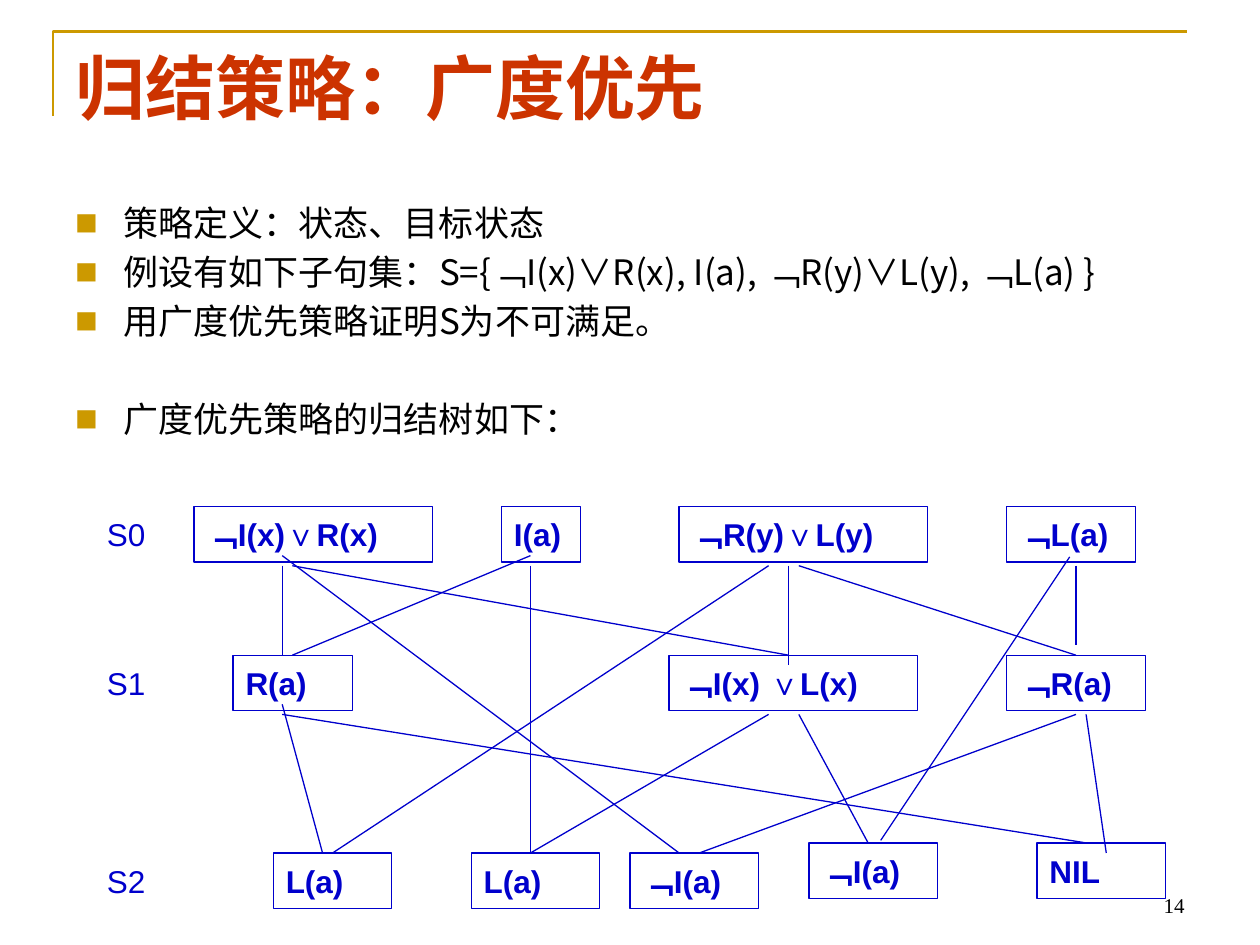
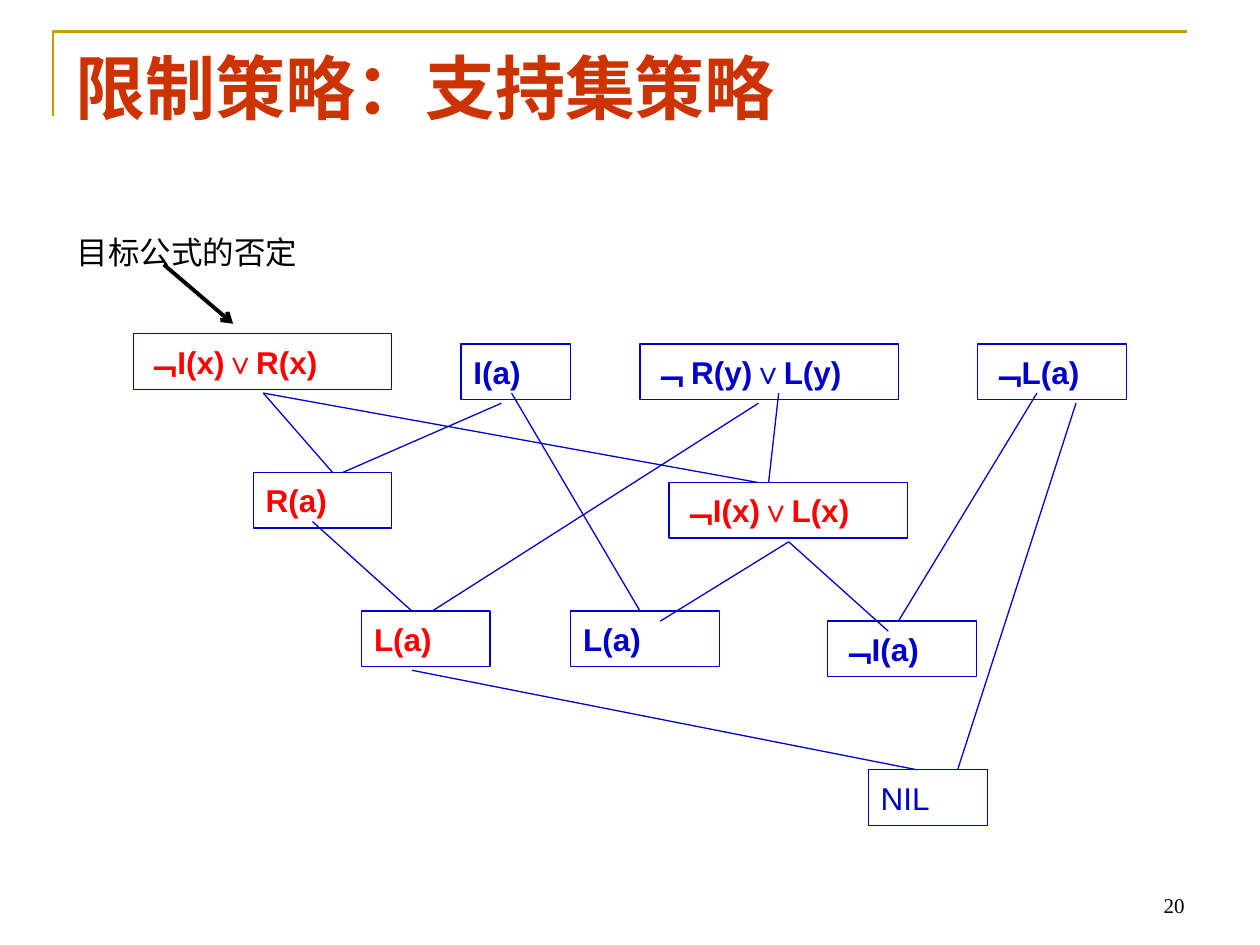
"""Build two slides on resolution strategies: breadth-first and set of support."""
from lxml import etree
from pptx import Presentation
from pptx.dml.color import RGBColor
from pptx.enum.shapes import MSO_CONNECTOR, MSO_SHAPE
from pptx.enum.text import MSO_ANCHOR, MSO_AUTO_SIZE, PP_ALIGN
from pptx.oxml.ns import qn
from pptx.util import Inches, Pt

STRAIGHT = MSO_CONNECTOR.STRAIGHT
RECTANGLE = MSO_SHAPE.RECTANGLE
LEFT, RIGHT = PP_ALIGN.LEFT, PP_ALIGN.RIGHT
TOP, MIDDLE, BOTTOM = MSO_ANCHOR.TOP, MSO_ANCHOR.MIDDLE, MSO_ANCHOR.BOTTOM
NO_FIT = MSO_AUTO_SIZE.NONE

COLORS = {"gold": "CC9900", "title": "CC3300", "blue": "0000CC", "red": "FF0000", "black": "000000"}
CJK, SANS, SERIF = "Noto Sans CJK SC", "Arial", "Times New Roman"

FORMATS = {
    "title": {"name": CJK, "size": Pt(40), "bold": True, "color": "title"},
    "body": {"name": CJK, "size": Pt(20), "bold": False, "color": "black"},
    "clause": {"name": SANS, "size": Pt(18), "bold": True, "color": "blue"},
    "support": {"name": SANS, "size": Pt(18), "bold": True, "color": "red"},
    "level": {"name": SANS, "size": Pt(18), "bold": False, "color": "blue"},
    "note": {"name": SANS, "size": Pt(18), "bold": False, "color": "black"},
    "number": {"name": SERIF, "size": Pt(12), "bold": False, "color": "black"},
}

TITLE_AREA = (0.5, 0.3, 9, 1.25)
BODY_AREA = (0.5, 1.55, 9, 5.15)
NUMBER_AREA = (7.17, 6.83, 2.33, 0.5)
FRAME = [(0.42, 0.92), (0.42, 0.25), (9.42, 0.25)]
BOX_HEIGHT = 0.44
LEVEL_LEFT, LEVEL_WIDTH = 0.75, 0.71

BREADTH_FIRST = {
    "title": "归结策略：广度优先",
    "number": "14",
    "points": [
        ("策略定义：状态、目标状态", 4),
        ("例设有如下子句集：S={﹁I(x)∨R(x), I(a), ﹁R(y)∨L(y), ﹁L(a) }", 4),
        ("用广度优先策略证明S为不可满足。", 4),
        ("广度优先策略的归结树如下：", 32),
    ],
    "levels": [("S0", 4.02), ("S1", 5.2), ("S2", 6.77)],
    "clauses": {
        4.02: [("﹁I(x)∨R(x)", 1.54, 1.89), ("I(a)", 3.98, 0.63),
               ("﹁R(y)∨L(y)", 5.39, 1.97), ("﹁L(a)", 7.99, 1.02)],
        5.2: [("R(a)", 1.85, 0.95), ("﹁I(x) ∨L(x)", 5.31, 1.97), ("﹁R(a)", 7.99, 1.1)],
        6.77: [("L(a)", 2.17, 0.94), ("L(a)", 3.74, 1.02), ("﹁I(a)", 5, 1.02)],
        6.69: [("﹁I(a)", 6.42, 1.02), ("NIL", 8.23, 1.02)],
    },
    "resolutions": [
        (2.24, 4.49, 2.24, 5.2), (4.21, 4.41, 2.32, 5.2), (2.32, 4.49, 6.26, 5.2),
        (6.26, 4.49, 6.26, 5.28), (6.34, 4.49, 8.54, 5.2), (8.54, 4.49, 8.54, 5.12),
        (2.24, 5.59, 2.56, 6.77), (6.1, 4.49, 2.64, 6.77), (4.21, 4.49, 4.21, 6.77),
        (6.1, 5.67, 4.21, 6.77), (2.24, 4.41, 5.39, 6.77), (8.54, 5.67, 5.55, 6.77),
        (6.34, 5.67, 6.89, 6.69), (2.24, 5.67, 8.62, 6.69), (8.62, 5.67, 8.78, 6.77),
        (8.49, 4.42, 6.99, 6.67),
    ],
}

SET_OF_SUPPORT = {
    "title": "限制策略：支持集策略",
    "number": "20",
    "clauses": {
        2.65: [("﹁I(x)∨R(x)", 1.06, 2.05, "support")],
        2.73: [("I(a)", 3.66, 0.87), ("﹁ R(y)∨L(y)", 5.08, 2.05), ("﹁L(a)", 7.76, 1.18)],
        3.75: [("R(a)", 2.01, 1.1, "support")],
        3.83: [("﹁I(x)∨L(x)", 5.31, 1.89, "support")],
        4.85: [("L(a)", 2.87, 1.02, "support"), ("L(a)", 4.53, 1.18)],
        4.93: [("﹁I(a)", 6.57, 1.18)],
        6.11: [("NIL", 6.89, 0.95, "level")],
    },
    "resolutions": [
        (2.09, 3.12, 2.64, 3.75), (3.98, 3.2, 2.72, 3.75), (2.09, 3.12, 6.02, 3.83),
        (6.18, 3.12, 6.1, 3.83), (2.48, 4.14, 3.27, 4.85), (6.02, 3.2, 3.43, 4.85),
        (4.06, 3.12, 5.08, 4.85), (6.26, 4.3, 5.24, 4.93), (6.26, 4.3, 7.05, 5.01),
        (8.23, 3.12, 7.13, 4.93), (3.27, 5.32, 7.28, 6.11), (8.54, 3.2, 7.6, 6.11),
    ],
}
GOAL_NOTE = ("目标公式的否定", (0.51, 1.78, 2.17, 0.44))
GOAL_ARROW = (1.3, 2.1, 1.85, 2.57)


def rgb(color):
    return RGBColor.from_string(COLORS[color])


def inches(values):
    return [Inches(value) for value in values]


def place(shape, area):
    for side, value in zip(("left", "top", "width", "height"), inches(area)):
        setattr(shape, side, value)


def write(paragraph, text, style, align=LEFT):
    paragraph.alignment = align
    run = paragraph.add_run()
    run.text = text
    for key, value in FORMATS[style].items():
        if key == "color":
            run.font.color.rgb = rgb(value)
        else:
            setattr(run.font, key, value)
    east_asian = etree.SubElement(run._r.get_or_add_rPr(), qn("a:ea"))
    east_asian.set("typeface", CJK)


def set_frame(shape, anchor, wrap=True):
    frame = shape.text_frame
    settings = {"auto_size": NO_FIT, "word_wrap": wrap, "vertical_anchor": anchor}
    for key, value in settings.items():
        setattr(frame, key, value)
    return frame


def set_line(shape, color, width):
    shape.line.color.rgb = rgb(color)
    shape.line.width = Pt(width)


def add_label(slide, text, area, style, anchor=MIDDLE, align=LEFT, wrap=True):
    label = slide.shapes.add_textbox(*inches(area))
    write(set_frame(label, anchor, wrap).paragraphs[0], text, style, align)


def add_clause(slide, text, left, top, width, style="clause"):
    box = slide.shapes.add_shape(RECTANGLE, *inches((left, top, width, BOX_HEIGHT)))
    box.shadow.inherit = False
    box.fill.background()
    set_line(box, "blue", 0.75)
    write(set_frame(box, MIDDLE).paragraphs[0], text, style)


def add_link(slide, ends, color="blue", width=0.75):
    link = slide.shapes.add_connector(STRAIGHT, *inches(ends))
    set_line(link, color, width)
    etree.SubElement(link._element.spPr, qn("a:effectLst"))
    return link


def add_points(slide, points):
    body = slide.placeholders[1]
    place(body, BODY_AREA)
    frame = set_frame(body, TOP)
    for index, (text, gap) in enumerate(points):
        paragraph = frame.add_paragraph() if index else frame.paragraphs[0]
        paragraph.space_before = Pt(gap)
        paragraph.line_spacing = Pt(24)
        write(paragraph, text, "body")
        properties = paragraph._p.get_or_add_pPr()
        properties.set("marL", str(Inches(0.38)))
        properties.set("indent", str(-Inches(0.38)))
        bullet_color = etree.SubElement(properties, qn("a:buClr"))
        etree.SubElement(bullet_color, qn("a:srgbClr"), val=COLORS["gold"])
        etree.SubElement(properties, qn("a:buSzPct"), val="65000")
        etree.SubElement(properties, qn("a:buFont"), typeface=CJK)
        etree.SubElement(properties, qn("a:buChar"), char="■")


def add_strategy(deck, layout, content):
    slide = deck.slides.add_slide(deck.slide_layouts[layout])
    corner, *turns = [inches(point) for point in FRAME]
    builder = slide.shapes.build_freeform(*corner)
    builder.add_line_segments(turns, close=False)
    border = builder.convert_to_shape()
    border.shadow.inherit = False
    border.fill.background()
    set_line(border, "gold", 1.5)

    title = slide.shapes.title
    place(title, TITLE_AREA)
    write(set_frame(title, TOP).paragraphs[0], content["title"], "title")
    for top, row in content["clauses"].items():
        for text, left, width, *style in row:
            add_clause(slide, text, left, top, width, *style)
    for ends in content["resolutions"]:
        add_link(slide, ends)
    add_label(slide, content["number"], NUMBER_AREA, "number", BOTTOM, RIGHT)
    return slide


def main():
    deck = Presentation()
    deck.slide_width, deck.slide_height = inches((10, 7.5))

    breadth = add_strategy(deck, 1, BREADTH_FIRST)
    add_points(breadth, BREADTH_FIRST["points"])
    for level, top in BREADTH_FIRST["levels"]:
        add_label(breadth, level, (LEVEL_LEFT, top, LEVEL_WIDTH, BOX_HEIGHT), "level")

    support = add_strategy(deck, 5, SET_OF_SUPPORT)
    note, area = GOAL_NOTE
    add_label(support, note, area, "note", wrap=False)
    arrow = add_link(support, GOAL_ARROW, "black", 2.25)
    etree.SubElement(arrow.line._get_or_add_ln(), qn("a:tailEnd"), type="arrow")

    deck.save("out.pptx")


if __name__ == "__main__":
    main()
